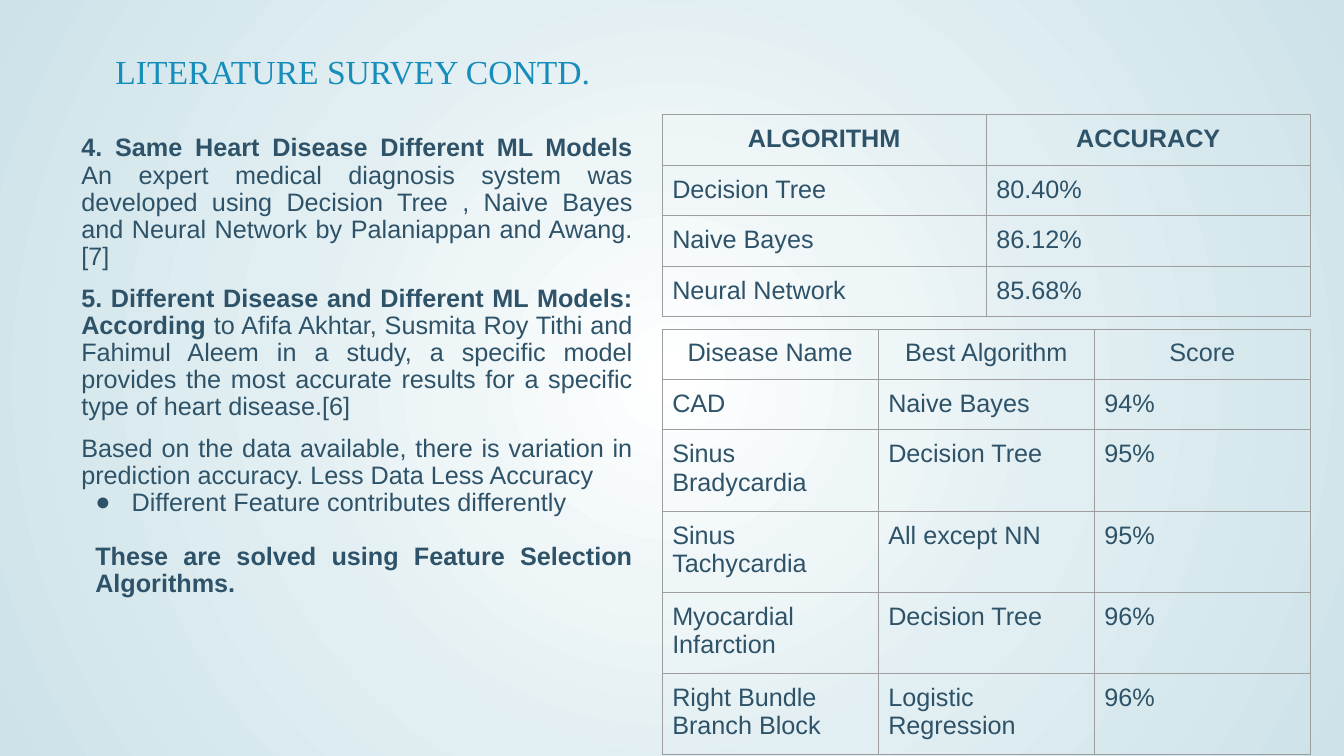
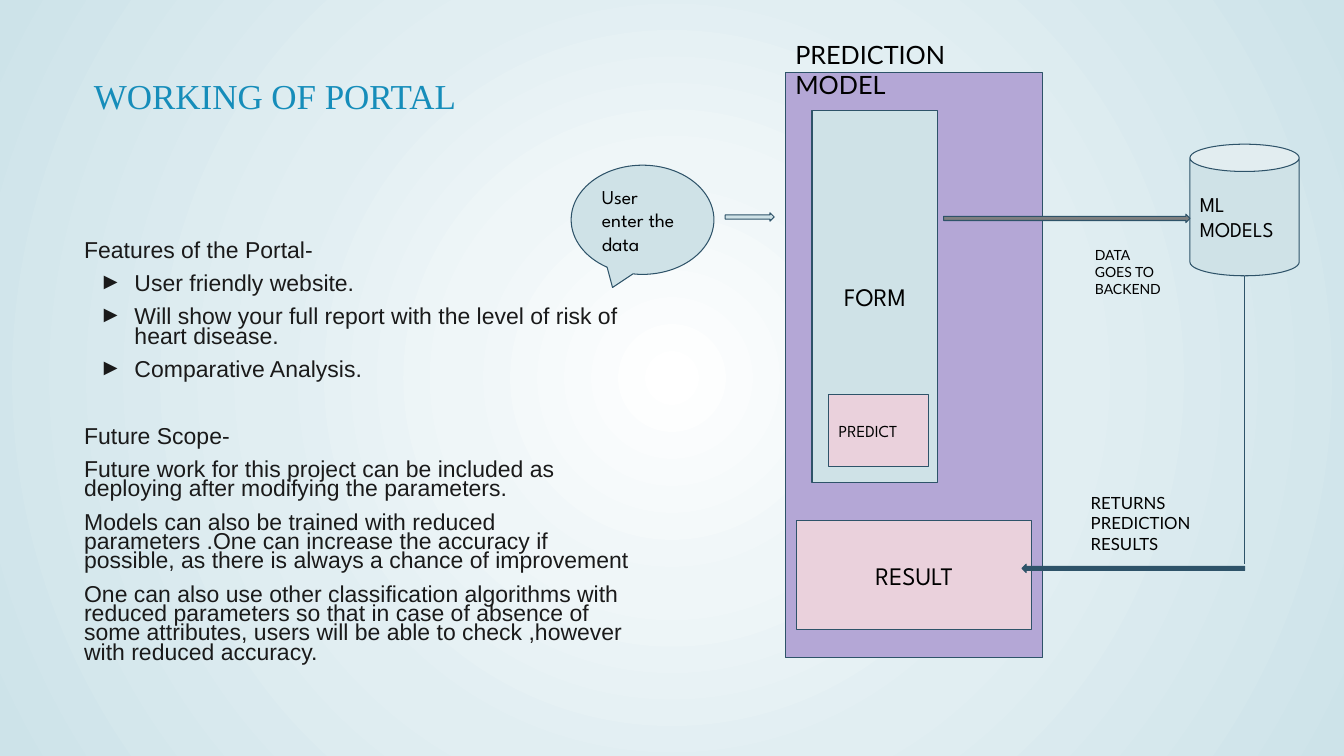
import pptx
import pptx.dml.color
import pptx.enum.shapes
import pptx.enum.text
import pptx.oxml
import pptx.oxml.ns
import pptx.util

Pt = pptx.util.Pt
SHAPES = pptx.enum.shapes.MSO_SHAPE
ALIGN = pptx.enum.text.PP_ALIGN
ANCHOR = pptx.enum.text.MSO_ANCHOR
NAMESPACE = pptx.oxml.ns.nsdecls("a", "p")

COLORS = {
    "title": "168DBA",
    "navy": "2E5369",
    "ink": "1A1A1A",
    "black": "000000",
    "pale_blue": "CFE2E7",
    "purple": "B4A7D6",
    "pink": "EAD1DC",
    "gray": "7F7F7F",
    "grid": "9E9E9E",
}
BACKGROUND_STOPS = [(0, "FFFFFF"), (28, "EFF6F8"), (52, "E1EEF2"), (100, "CDE3E9")]
BODY_FONT = "Arial"
TITLE_FONT = "Times New Roman"
SHAPE_FONT = "League Spartan"
LABEL_FONT = "Lato"


def rgb(name):
    return pptx.dml.color.RGBColor.from_string(COLORS[name])


def append_xml(parent, xml):
    """Append an element given without its namespace declarations."""
    tag, rest = xml.split(" ", 1)
    parent.append(pptx.oxml.parse_xml(f"{tag} {NAMESPACE} {rest}"))


def set_background(master):
    common = master._element.cSld
    for old in common.findall(pptx.oxml.ns.qn("p:bg")):
        common.remove(old)
    stops = "".join(
        f'<a:gs pos="{position * 1000}"><a:srgbClr val="{color}"/></a:gs>'
        for position, color in BACKGROUND_STOPS)
    common.insert(0, pptx.oxml.parse_xml(
        f'<p:bg {NAMESPACE}><p:bgPr><a:gradFill rotWithShape="1"><a:gsLst>{stops}</a:gsLst>'
        '<a:path path="circle"><a:fillToRect l="50000" t="50000" r="50000" b="50000"/></a:path>'
        '</a:gradFill><a:effectLst/></p:bgPr></p:bg>'))


# Text

def add_paragraph(frame, text, *, size, font=BODY_FONT, color="navy", bold=False,
                  align=ALIGN.LEFT, line_spacing=None, space_before=0,
                  indent=0, hanging=0, bullet=None):
    """Write one paragraph; text is a string or (string, bold) runs, None breaks the line."""
    paragraph = frame.paragraphs[0]
    if paragraph.runs:
        paragraph = frame.add_paragraph()
    paragraph.alignment = align
    paragraph.space_before = Pt(space_before)
    if line_spacing:
        paragraph.line_spacing = line_spacing
    properties = paragraph._p.get_or_add_pPr()
    properties.set("marL", str(Pt(indent)))
    properties.set("indent", str(Pt(-hanging)))
    if bullet:
        append_xml(properties, f'<a:buClr ><a:srgbClr val="{COLORS[color]}"/></a:buClr>')
        append_xml(properties, f'<a:buFont typeface="{BODY_FONT}"/>')
        append_xml(properties, f'<a:buChar char="{bullet}"/>')
    for part in [(text, bold)] if isinstance(text, str) else text:
        if part is None:
            paragraph.add_line_break()
            continue
        run = paragraph.add_run()
        run.text, run.font.bold = part
        run.font.size = Pt(size)
        run.font.name = font
        run.font.color.rgb = rgb(color)


def set_insets(frame, horizontal=7.2, vertical=7.2):
    frame.word_wrap = True
    frame.margin_left = frame.margin_right = Pt(horizontal)
    frame.margin_top = frame.margin_bottom = Pt(vertical)


def add_text_frame(slide, box, vertical_inset=3.6):
    frame = slide.shapes.add_textbox(*map(Pt, box)).text_frame
    set_insets(frame, vertical=vertical_inset)
    return frame


def add_title(slide, box, text, size, align=ALIGN.LEFT):
    add_paragraph(add_text_frame(slide, box), text, size=size, font=TITLE_FONT,
                  color="title", align=align)


def add_body(slide, box, paragraphs, **shared):
    """Fill a text region; each paragraph overrides the shared format."""
    frame = add_text_frame(slide, box)
    for index, (text, options) in enumerate(paragraphs):
        style = {**shared, **options}
        if index == 0:
            style["space_before"] = 0
        add_paragraph(frame, text, **style)


# Tables

def add_grid_table(slide, box, rows, row_heights, header_bold=False):
    graphic = slide.shapes.add_table(len(rows), len(rows[0]), *map(Pt, box))
    table = graphic.table
    table.first_row = table.horz_banding = False
    for column in table.columns:
        column.width = Pt(box[2] / len(rows[0]))
    for row_index, (values, height) in enumerate(zip(rows, row_heights)):
        table.rows[row_index].height = Pt(height)
        is_header = row_index == 0
        for column_index, value in enumerate(values):
            cell = table.cell(row_index, column_index)
            cell.margin_left = cell.margin_right = Pt(7.2)
            cell.margin_top = cell.margin_bottom = Pt(7.2)
            add_paragraph(cell.text_frame, value, size=18, bold=is_header and header_bold,
                          align=ALIGN.CENTER if is_header else ALIGN.LEFT)
            properties = cell._tc.get_or_add_tcPr()
            for side in ("lnL", "lnR", "lnT", "lnB"):
                append_xml(properties, f'<a:{side} w="{Pt(0.75)}"><a:solidFill>'
                           f'<a:srgbClr val="{COLORS["grid"]}"/></a:solidFill></a:{side}>')
            cell.fill.background()


# Diagram parts

def add_box(slide, kind, box, fill, text=None, size=18, align=ALIGN.LEFT):
    shape = slide.shapes.add_shape(kind, *map(Pt, box))
    shape.shadow.inherit = False
    shape.fill.solid()
    shape.fill.fore_color.rgb = rgb(fill)
    shape.line.color.rgb = rgb("navy")
    shape.line.width = Pt(0.75)
    if text:
        set_insets(shape.text_frame)
        shape.text_frame.vertical_anchor = ANCHOR.MIDDLE
        add_paragraph(shape.text_frame, text, size=size, font=SHAPE_FONT,
                      color="black", align=align)
    return shape


def add_line(slide, start, end):
    line = slide.shapes.add_connector(
        pptx.enum.shapes.MSO_CONNECTOR.STRAIGHT, *map(Pt, (*start, *end)))
    line.line.color.rgb = rgb("navy")
    line.line.width = Pt(0.75)
    append_xml(line._element.spPr, "<a:effectLst />")


def add_portal_diagram(slide, left, top):
    def at(x, y, width, height):
        return left + x, top + y, width, height

    # User input
    callout = add_box(slide, SHAPES.OVAL_CALLOUT, at(0, 97, 102, 78), "pale_blue",
                      "User enter the data", 14)
    callout.adjustments[0], callout.adjustments[1] = -0.21, 0.62
    add_box(slide, SHAPES.RIGHT_ARROW, at(110, 131, 35, 6), "pale_blue")

    # Prediction model with its form and result
    add_box(slide, SHAPES.RECTANGLE, at(153, 31, 184, 418), "purple")
    add_box(slide, SHAPES.RECTANGLE, at(172, 58, 90, 266), "pale_blue", "FORM",
            align=ALIGN.CENTER)
    add_box(slide, SHAPES.RECTANGLE, at(184, 261, 71, 51), "pink", "PREDICT", 12)
    add_box(slide, SHAPES.RECTANGLE, at(161, 351, 168, 78), "pink", "RESULT",
            align=ALIGN.CENTER)

    # Backend and the way back to the result
    add_box(slide, SHAPES.CAN, at(442, 82, 78, 94), "pale_blue", "ML MODELS", 15)
    add_box(slide, SHAPES.RIGHT_ARROW, at(266, 132, 176, 6), "gray")
    add_line(slide, (left + 481, top + 176), (left + 481, top + 382))
    add_box(slide, SHAPES.LEFT_ARROW, at(322, 382, 159, 6), "navy")

    # Labels
    for text, size, box in [
        ("PREDICTION MODEL", 18, at(153, 0, 176, 32)),
        ("DATA GOES TO BACKEND", 10, at(367, 148, 63, 51)),
        ("RETURNS PREDICTION RESULTS", 12, at(364, 324, 90, 58)),
    ]:
        add_paragraph(add_text_frame(slide, box, vertical_inset=7.2), text,
                      size=size, font=LABEL_FONT, color="black")


# Slides

def build_survey_slide(slide):
    add_title(slide, (36, 33, 432, 50), "LITERATURE SURVEY CONTD.", 24, ALIGN.CENTER)
    add_body(slide, (51, 93, 408, 376), [
        ([("4. Same Heart Disease Different ML Models", True), None,
          ("An expert medical diagnosis system was developed using Decision Tree , Naive Bayes "
           "and Neural Network by Palaniappan and Awang.[7]", False)], {}),
        ([("5. Different Disease and Different ML Models: According ", True),
          ("to Afifa Akhtar, Susmita Roy Tithi and Fahimul Aleem in a study, a specific model "
           "provides the most accurate results for a specific type of heart disease.[6]",
           False)], {}),
        ("Based on the data available, there is variation in prediction accuracy. "
         "Less Data Less Accuracy", {}),
        ("Different Feature contributes differently",
         {"space_before": 0, "indent": 36, "hanging": 26, "bullet": "●"}),
        ("These are solved using Feature Selection Algorithms.",
         {"space_before": 19, "indent": 10, "bold": True}),
    ], size=18, align=ALIGN.JUSTIFY, line_spacing=0.9, space_before=10)
    add_grid_table(slide, (473, 82, 463, 124), [
        ("ALGORITHM", "ACCURACY"),
        ("Decision Tree", "80.40%"),
        ("Naive Bayes", "86.12%"),
        ("Neural Network", "85.68%"),
    ], [31] * 4, header_bold=True)
    add_grid_table(slide, (473, 235, 463, 304), [
        ("Disease Name", "Best Algorithm", "Score"),
        ("CAD", "Naive Bayes", "94%"),
        ("Sinus Bradycardia", "Decision Tree", "95%"),
        ("Sinus Tachycardia", "All except NN", "95%"),
        ("Myocardial Infarction", "Decision Tree", "96%"),
        ("Right Bundle Branch Block", "Logistic Regression", "96%"),
    ], [36] * 2 + [58] * 4)


def build_portal_slide(slide):
    add_title(slide, (60, 50, 702, 100), "WORKING OF PORTAL", 25)
    feature = {"indent": 36, "hanging": 25, "bullet": "►"}
    add_body(slide, (53, 170, 413, 305), [
        ("Features of the Portal-", {}),
        ("User friendly website.", feature),
        ("Will show your full report with the level of risk of heart disease.", feature),
        ("Comparative Analysis.", feature),
        ("Future Scope-", {"space_before": 34}),
        ("Future work for this project can be included as deploying after modifying "
         "the parameters.", {}),
        ("Models can also be trained with reduced parameters .One can increase the accuracy "
         "if possible, as there is always a chance of improvement", {}),
        ("One can also use other classification algorithms with reduced parameters so that "
         "in case of absence of some attributes, users will be able to check ,however with "
         "reduced accuracy.", {}),
    ], size=16.4, color="ink", line_spacing=0.7, space_before=10)
    add_portal_diagram(slide, 408, 21)


def main():
    presentation = pptx.Presentation()
    presentation.slide_width, presentation.slide_height = Pt(960), Pt(540)
    set_background(presentation.slide_master)
    for build in (build_survey_slide, build_portal_slide):
        build(presentation.slides.add_slide(presentation.slide_layouts[6]))
    presentation.save("out.pptx")


if __name__ == "__main__":
    main()
